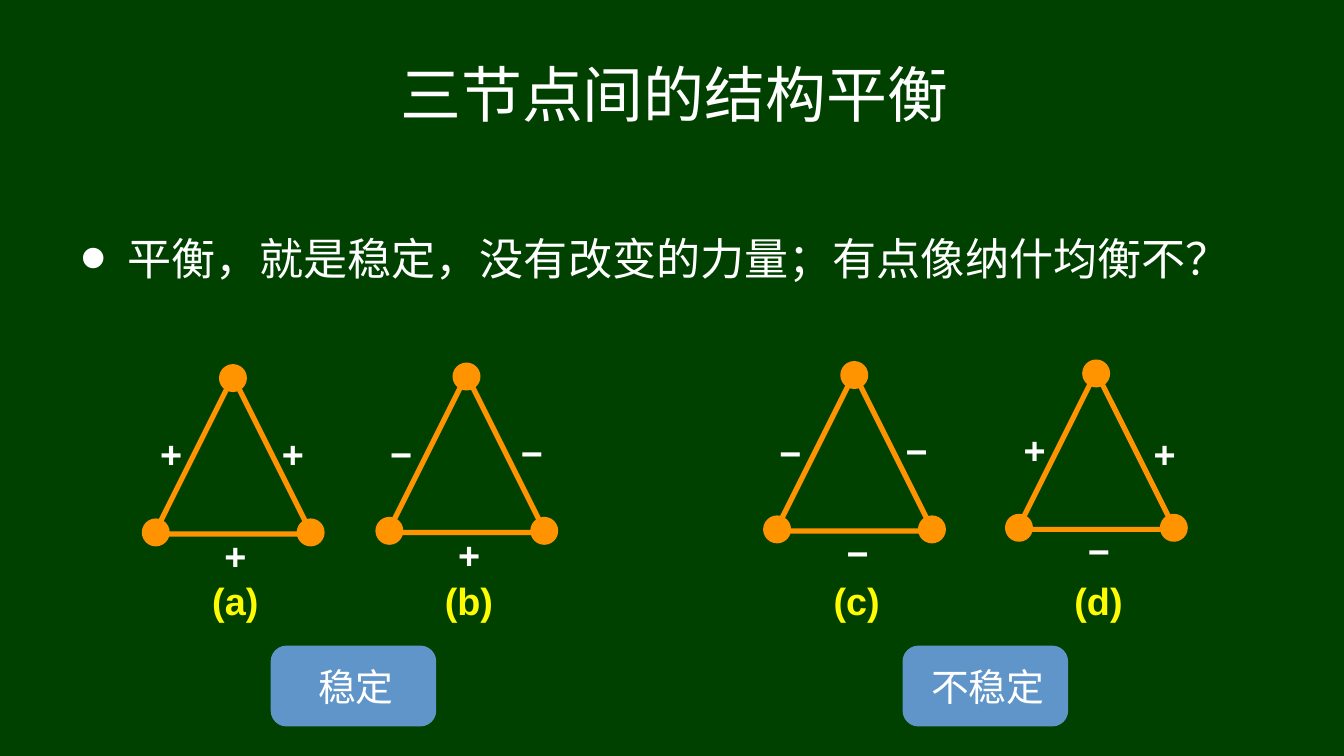
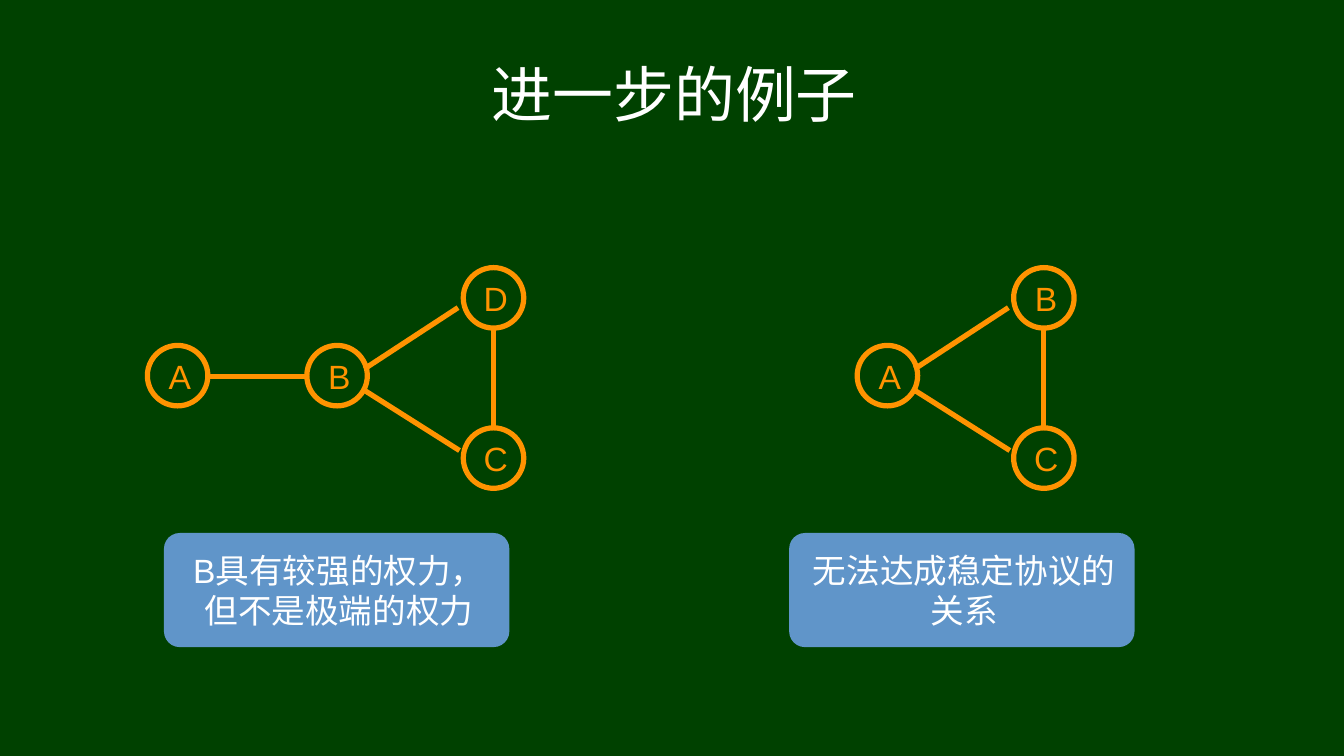
from dataclasses import dataclass
from typing import Any

from lxml.etree import SubElement
from pptx import Presentation
from pptx.dml.color import RGBColor
from pptx.enum.lang import MSO_LANGUAGE_ID as Language
from pptx.enum.shapes import MSO_CONNECTOR as Connector, MSO_SHAPE as Preset
from pptx.enum.text import MSO_ANCHOR as Anchor, MSO_AUTO_SIZE as AutoSize, PP_ALIGN as Align
from pptx.oxml.ns import qn
from pptx.util import Pt


@dataclass(frozen=True)
class Theme:
    background: RGBColor = RGBColor(0x00, 0x41, 0x00)
    text: RGBColor = RGBColor(0xFF, 0xFF, 0xFF)
    graph: RGBColor = RGBColor(0xFF, 0x93, 0x00)
    label: RGBColor = RGBColor(0xFF, 0xFB, 0x00)
    caption: RGBColor = RGBColor(0x60, 0x95, 0xC9)
    font: str = "Arial"
    title_size: float = 58
    body_size: float = 42
    sign_size: float = 36
    node_size: float = 32
    line_width: float = 5
    corner_radius: float = 15
    text_margin: float = 4.5


@dataclass(frozen=True)
class Box:
    left: float
    top: float
    width: float
    height: float

    def lengths(self) -> tuple[Pt, Pt, Pt, Pt]:
        return Pt(self.left), Pt(self.top), Pt(self.width), Pt(self.height)


@dataclass(frozen=True)
class Sign:
    """A plus or minus, placed by its centre."""
    text: str
    x: float
    y: float


@dataclass(frozen=True)
class Triad:
    label: str
    left: float
    top: float
    signs: tuple[Sign, ...]


@dataclass(frozen=True)
class Caption:
    text: str
    box: Box
    size: float


@dataclass(frozen=True)
class Network:
    """A hub joined to two partners that are joined to each other."""
    left: float
    hub: str
    upper: str
    lower: str


THEME = Theme()
TITLE_BOX = Box(64, 9.4, 1152, 158.4)
BODY_BOX = Box(64, 180, 1152, 126)

TRIAD_SIDE = 150
DOT_DIAMETER = 21.6
DOT_CENTRES = ((75, 1.5), (1.5, 148.5), (149, 148.5))
LABEL_Y = 571.7
TRIADS = (
    Triad("(a)", 146.9, 358.6,
          (Sign("+", 160.9, 432), Sign("+", 276.8, 432), Sign("+", 222.1, 529.2))),
    Triad("(b)", 369.4, 357.1,
          (Sign("−", 379.8, 432), Sign("−", 504.4, 430.6), Sign("+", 444.6, 527.8))),
    Triad("(c)", 738.7, 355.7,
          (Sign("−", 750.6, 430.6), Sign("−", 870.8, 429.1), Sign("−", 814.7, 526.3))),
    Triad("(d)", 969.1, 354.2,
          (Sign("+", 983.2, 427.7), Sign("+", 1107, 431.3), Sign("−", 1044.4, 524.2))),
)
STABILITY_CAPTIONS = (
    Caption("稳定", Box(257.8, 614.9, 157.7, 77), THEME.sign_size),
    Caption("不稳定", Box(859.7, 614.9, 157.7, 77), THEME.sign_size),
)

NODE_DIAMETER = 57.6
HUB_TOP, UPPER_TOP, LOWER_TOP = 329, 254.9, 407.5
PARTNER_OFFSET = 149
NETWORKS = (Network(292.3, "B", "D", "C"), Network(816.5, "A", "B", "C"))
NETWORK_LINKS = (
    ((54.7, 351.4), (144, 293)),
    ((53.3, 370.8), (145.4, 429.1)),
    ((177.8, 311), (177.8, 405.4)),
)
NETWORK_CAPTIONS = (
    Caption("B具有较强的权力，但不是极端的权力", Box(156.2, 507.6, 329, 108.7), THEME.node_size),
    Caption("无法达成稳定协议的关系", Box(751.7, 507.6, 329, 108.7), THEME.node_size),
)


def write_text(shape: Any, text: str, size: float, color: RGBColor, bold: bool = False,
               inset: float = 0, wrap: bool = True, align: Align = Align.CENTER) -> Any:
    """Fill a shape with one run and return its paragraph."""
    frame = shape.text_frame
    frame.word_wrap = wrap
    frame.auto_size = AutoSize.NONE
    frame.vertical_anchor = Anchor.MIDDLE
    frame.margin_left = frame.margin_right = Pt(inset)
    frame.margin_top = frame.margin_bottom = Pt(inset)
    paragraph = frame.paragraphs[0]
    paragraph.alignment = align
    set_indent(paragraph, THEME.text_margin, 0)
    run = paragraph.add_run()
    run.text = text
    font = run.font
    font.size = Pt(size)
    font.bold = bold
    font.color.rgb = color
    font.name = THEME.font
    font.language_id = Language.SIMPLIFIED_CHINESE
    SubElement(run._r.get_or_add_rPr(), qn("a:ea"), typeface=THEME.font)
    return paragraph


def set_indent(paragraph: Any, margin: float, first_line: float) -> None:
    properties = paragraph._p.get_or_add_pPr()
    properties.set("marL", str(Pt(margin)))
    properties.set("indent", str(Pt(first_line)))


def place(shape: Any, box: Box) -> None:
    shape.left, shape.top, shape.width, shape.height = box.lengths()


def add_titled_slide(presentation: Any, layout_index: int, title: str) -> Any:
    slide = presentation.slides.add_slide(presentation.slide_layouts[layout_index])
    place(slide.shapes.title, TITLE_BOX)
    write_text(slide.shapes.title, title, THEME.title_size, THEME.text)
    return slide


def write_bullet(body: Any, text: str) -> None:
    place(body, BODY_BOX)
    paragraph = write_text(body, text, THEME.body_size, THEME.text, align=Align.LEFT)
    paragraph.line_spacing = 1.1
    paragraph.space_before = Pt(10)
    set_indent(paragraph, 57, -44.6)
    properties = paragraph._p.get_or_add_pPr()
    SubElement(properties, qn("a:buSzPct"), val="171000")
    SubElement(properties, qn("a:buFont"), typeface=THEME.font)
    SubElement(properties, qn("a:buChar"), char="•")


def outline(shape: Any) -> None:
    shape.shadow.inherit = False
    shape.line.color.rgb = THEME.graph
    shape.line.width = Pt(THEME.line_width)


def add_circle(slide: Any, left: float, top: float, diameter: float) -> Any:
    circle = slide.shapes.add_shape(Preset.OVAL, *Box(left, top, diameter, diameter).lengths())
    outline(circle)
    return circle


def add_centred_text(slide: Any, text: str, x: float, y: float, width: float,
                     color: RGBColor) -> None:
    height = 51.8
    box = Box(x - width / 2, y - height / 2, width, height)
    text_box = slide.shapes.add_textbox(*box.lengths())
    write_text(text_box, text, THEME.sign_size, color, bold=True,
               inset=THEME.text_margin, wrap=False)


def add_triad(slide: Any, triad: Triad) -> None:
    """Draw a triangle, its three dots, its signs and its label."""
    middle = triad.left + TRIAD_SIDE / 2
    bottom = triad.top + TRIAD_SIDE
    builder = slide.shapes.build_freeform(Pt(middle), Pt(triad.top))
    builder.add_line_segments([(Pt(triad.left + TRIAD_SIDE), Pt(bottom)),
                               (Pt(triad.left), Pt(bottom))], close=True)
    triangle = builder.convert_to_shape()
    triangle.fill.background()
    outline(triangle)
    for x, y in DOT_CENTRES:
        dot = add_circle(slide, triad.left + x - DOT_DIAMETER / 2,
                         triad.top + y - DOT_DIAMETER / 2, DOT_DIAMETER)
        dot.fill.solid()
        dot.fill.fore_color.rgb = THEME.graph
    for sign in triad.signs:
        add_centred_text(slide, sign.text, sign.x, sign.y, 38.2, THEME.text)
    add_centred_text(slide, triad.label, middle, LABEL_Y, 62, THEME.label)


def add_caption(slide: Any, caption: Caption) -> None:
    shape = slide.shapes.add_shape(Preset.ROUNDED_RECTANGLE, *caption.box.lengths())
    shape.adjustments[0] = THEME.corner_radius / caption.box.height
    shape.shadow.inherit = False
    shape.fill.solid()
    shape.fill.fore_color.rgb = THEME.caption
    shape.line.fill.background()
    write_text(shape, caption.text, caption.size, THEME.text, inset=THEME.text_margin)


def add_node(slide: Any, name: str, left: float, top: float) -> None:
    node = add_circle(slide, left, top, NODE_DIAMETER)
    node.fill.background()
    write_text(node, name, THEME.node_size, THEME.graph)


def add_link(slide: Any, start: tuple[float, float], end: tuple[float, float]) -> None:
    link = slide.shapes.add_connector(Connector.STRAIGHT, *(Pt(value) for value in start + end))
    link.line.color.rgb = THEME.graph
    link.line.width = Pt(THEME.line_width)
    SubElement(link._element.spPr, qn("a:effectLst"))


def add_network(slide: Any, network: Network) -> None:
    partner_left = network.left + PARTNER_OFFSET
    add_node(slide, network.hub, network.left, HUB_TOP)
    add_node(slide, network.lower, partner_left, LOWER_TOP)
    add_node(slide, network.upper, partner_left, UPPER_TOP)
    for (start_x, start_y), (end_x, end_y) in NETWORK_LINKS:
        add_link(slide, (network.left + start_x, start_y), (network.left + end_x, end_y))


def build_balance_slide(presentation: Any) -> None:
    slide = add_titled_slide(presentation, 1, "三节点间的结构平衡")
    write_bullet(slide.placeholders[1], "平衡，就是稳定，没有改变的力量；有点像纳什均衡不？")
    for triad in TRIADS:
        add_triad(slide, triad)
    for caption in STABILITY_CAPTIONS:
        add_caption(slide, caption)


def build_examples_slide(presentation: Any) -> None:
    slide = add_titled_slide(presentation, 5, "进一步的例子")
    for network in NETWORKS:
        add_network(slide, network)
    add_node(slide, "A", 140.4, HUB_TOP)
    add_link(slide, (200.2, 358.6), (291.6, 358.6))
    for caption in NETWORK_CAPTIONS:
        add_caption(slide, caption)


def main() -> None:
    presentation = Presentation()
    presentation.slide_width = Pt(1280.16)
    presentation.slide_height = Pt(720)
    background = presentation.slide_master.background.fill
    background.solid()
    background.fore_color.rgb = THEME.background
    build_balance_slide(presentation)
    build_examples_slide(presentation)
    presentation.save("out.pptx")


if __name__ == "__main__":
    main()
